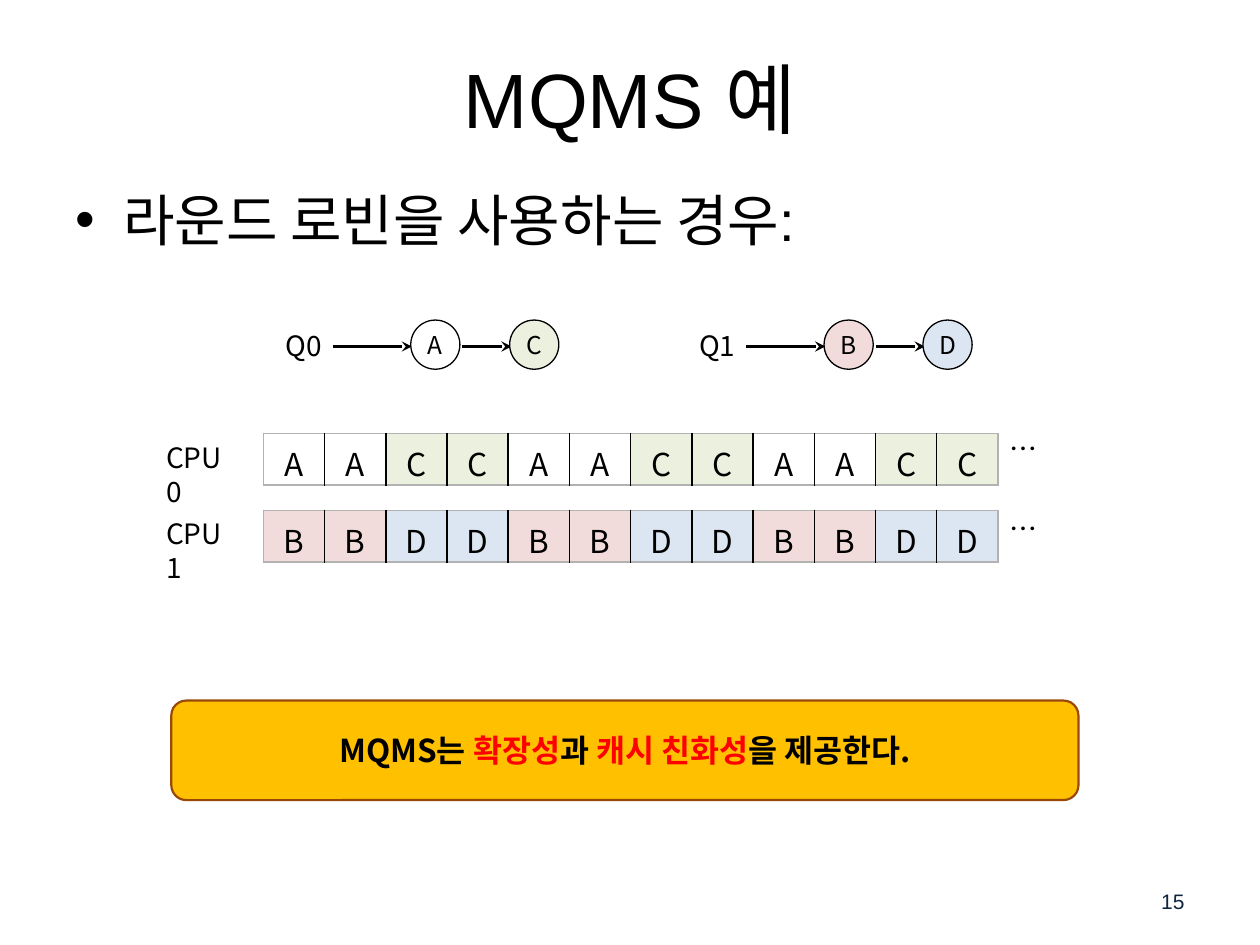
from dataclasses import dataclass

from lxml.etree import SubElement
from pptx import Presentation
from pptx.dml.color import RGBColor
from pptx.enum.shapes import MSO_CONNECTOR, MSO_SHAPE
from pptx.enum.text import MSO_ANCHOR, PP_ALIGN
from pptx.oxml.ns import qn
from pptx.util import Inches, Pt


@dataclass(frozen=True)
class Theme:
    heading_font: str = "Arial"
    label_font: str = "Noto Sans CJK KR"
    ink: str = "000000"
    page_number: str = "0F243E"
    accent: str = "FF0000"
    banner: str = "FFC000"
    banner_edge: str = "984807"
    table_edge: str = "B2B2B2"
    title_size: int = 44
    body_size: int = 32
    cell_size: int = 18
    label_size: int = 16
    job_size: int = 14
    number_size: int = 12


THEME = Theme()
JOB_COLORS = {"A": "FFFFFF", "B": "F2DCDB", "C": "EBF1DE", "D": "DCE6F2"}
COLUMNS, ROWS = 100, 75
JOB_SIZE = 3.9
CELL_WIDTH, CELL_HEIGHT = 4.86, 4.1


def grid(*units):
    return [Inches(unit / 10) for unit in units]


def style(para, size, font=THEME.label_font, color=THEME.ink, align=PP_ALIGN.LEFT):
    para.alignment = align
    para.font.size = Pt(size)
    para.font.name = font
    para.font.color.rgb = RGBColor.from_string(color)


def add_text(page, area, text, size, anchor=MSO_ANCHOR.TOP, wrap=True, **look):
    frame = page.shapes.add_textbox(*grid(*area)).text_frame
    frame.word_wrap = wrap
    frame.vertical_anchor = anchor
    para = frame.paragraphs[0]
    para.text = text
    style(para, size, **look)


def add_bullet(page, area, text):
    frame = page.shapes.add_textbox(*grid(*area)).text_frame
    frame.word_wrap = True
    para = frame.paragraphs[0]
    para.text = text
    properties = para._p.get_or_add_pPr()
    properties.set("marL", str(Inches(0.38)))
    properties.set("indent", str(-Inches(0.38)))
    SubElement(properties, qn("a:buFont"), typeface=THEME.heading_font)
    SubElement(properties, qn("a:buChar"), char="•")
    style(para, THEME.body_size, THEME.heading_font)


def add_panel(page, kind, area, fill, edge, edge_width, side_inset):
    panel = page.shapes.add_shape(kind, *grid(*area))
    panel.shadow.inherit = False
    panel.fill.solid()
    panel.fill.fore_color.rgb = RGBColor.from_string(fill)
    panel.line.color.rgb = RGBColor.from_string(edge)
    panel.line.width = Pt(edge_width)
    frame = panel.text_frame
    frame.word_wrap = True
    frame.vertical_anchor = MSO_ANCHOR.MIDDLE
    frame.margin_left = frame.margin_right = Inches(side_inset)
    return panel


def add_job(page, left, top, name):
    area = (left, top, JOB_SIZE, JOB_SIZE)
    job = add_panel(page, MSO_SHAPE.OVAL, area, JOB_COLORS[name], THEME.ink, 0.75, 0)
    para = job.text_frame.paragraphs[0]
    para.text = name
    style(para, THEME.job_size, align=PP_ALIGN.CENTER)


def add_arrow(page, start, end, row):
    arrow = page.shapes.add_connector(MSO_CONNECTOR.STRAIGHT, *grid(start, row, end, row))
    arrow.line.color.rgb = RGBColor.from_string(THEME.ink)
    arrow.line.width = Pt(1.5)
    SubElement(arrow.line._get_or_add_ln(), qn("a:tailEnd"), type="stealth")
    SubElement(arrow._element.spPr, qn("a:effectLst"))


def add_queue(page, left, name, jobs):
    top, middle = 25.4, 27.5
    add_text(page, (left, 25.6, 5, 3.7), name, THEME.label_size, wrap=False)
    add_arrow(page, left + 4.7, left + 11, middle)
    add_arrow(page, left + 15, left + 18.9, middle)
    for index, job in enumerate(jobs):
        add_job(page, left + 10.9 + 7.85 * index, top, job)


def add_border(cell, side, color):
    border = SubElement(cell._tc.get_or_add_tcPr(), qn(f"a:{side}"), w=str(Pt(1)))
    fill = SubElement(border, qn("a:solidFill"))
    SubElement(fill, qn("a:srgbClr"), val=color)


def add_timeline(page, top, jobs):
    area = (20.9, top, CELL_WIDTH * len(jobs), CELL_HEIGHT)
    table = page.shapes.add_table(1, len(jobs), *grid(*area)).table
    table.first_row = table.horz_banding = False
    for index, job in enumerate(jobs):
        cell = table.cell(0, index)
        edges = {
            "lnL": THEME.ink if index else THEME.table_edge,
            "lnR": THEME.ink if index < len(jobs) - 1 else THEME.table_edge,
            "lnT": THEME.table_edge,
            "lnB": THEME.table_edge,
        }
        for side, color in edges.items():
            add_border(cell, side, color)
        cell.fill.solid()
        cell.fill.fore_color.rgb = RGBColor.from_string(JOB_COLORS[job])
        cell.margin_top, cell.margin_bottom = Inches(0.05), 0
        para = cell.text_frame.paragraphs[0]
        para.text = job
        style(para, THEME.cell_size, align=PP_ALIGN.CENTER)


def add_processor(page, name, label_top, table_top, dots_top, jobs):
    add_text(page, (12.2, label_top, 7, 3.7), name, THEME.label_size)
    add_timeline(page, table_top, jobs)
    add_text(page, (79.1, dots_top, 3.9, 3.7), "…", THEME.label_size)


def add_banner(page, area, spans):
    banner = add_panel(page, MSO_SHAPE.ROUNDED_RECTANGLE, area,
                       THEME.banner, THEME.banner_edge, 1.25, 0.12)
    banner.adjustments[0] = 0.15
    para = banner.text_frame.paragraphs[0]
    style(para, THEME.cell_size, align=PP_ALIGN.CENTER)
    para.font.bold = True
    for text, color in spans:
        span = para.add_run()
        span.text = text
        span.font.color.rgb = RGBColor.from_string(color)


def main():
    deck = Presentation()
    deck.slide_width, deck.slide_height = grid(COLUMNS, ROWS)
    page = deck.slides.add_slide(deck.slide_layouts[6])
    add_text(page, (5, 3, 90, 9.5), "MQMS 예", THEME.title_size, MSO_ANCHOR.MIDDLE,
             font=THEME.heading_font, align=PP_ALIGN.CENTER)
    add_bullet(page, (5, 14.2, 90, 57.5), "라운드 로빈을 사용하는 경우:")
    add_queue(page, 21.7, "Q0", "AC")
    add_queue(page, 54.5, "Q1", "BD")
    add_processor(page, "CPU0", 34.5, 34.4, 33.8, "AACC" * 3)
    add_processor(page, "CPU1", 40.5, 40.5, 40.1, "BBDD" * 3)
    add_banner(page, (13.6, 55.6, 72, 7.9), [
        ("MQMS는 ", THEME.ink),
        ("확장성", THEME.accent),
        ("과 ", THEME.ink),
        ("캐시 친화성", THEME.accent),
        ("을 제공한다.", THEME.ink),
    ])
    add_text(page, (71.7, 69.5, 23.3, 4), "15", THEME.number_size, MSO_ANCHOR.MIDDLE,
             font=THEME.heading_font, color=THEME.page_number, align=PP_ALIGN.RIGHT)
    deck.save("out.pptx")


if __name__ == "__main__":
    main()
